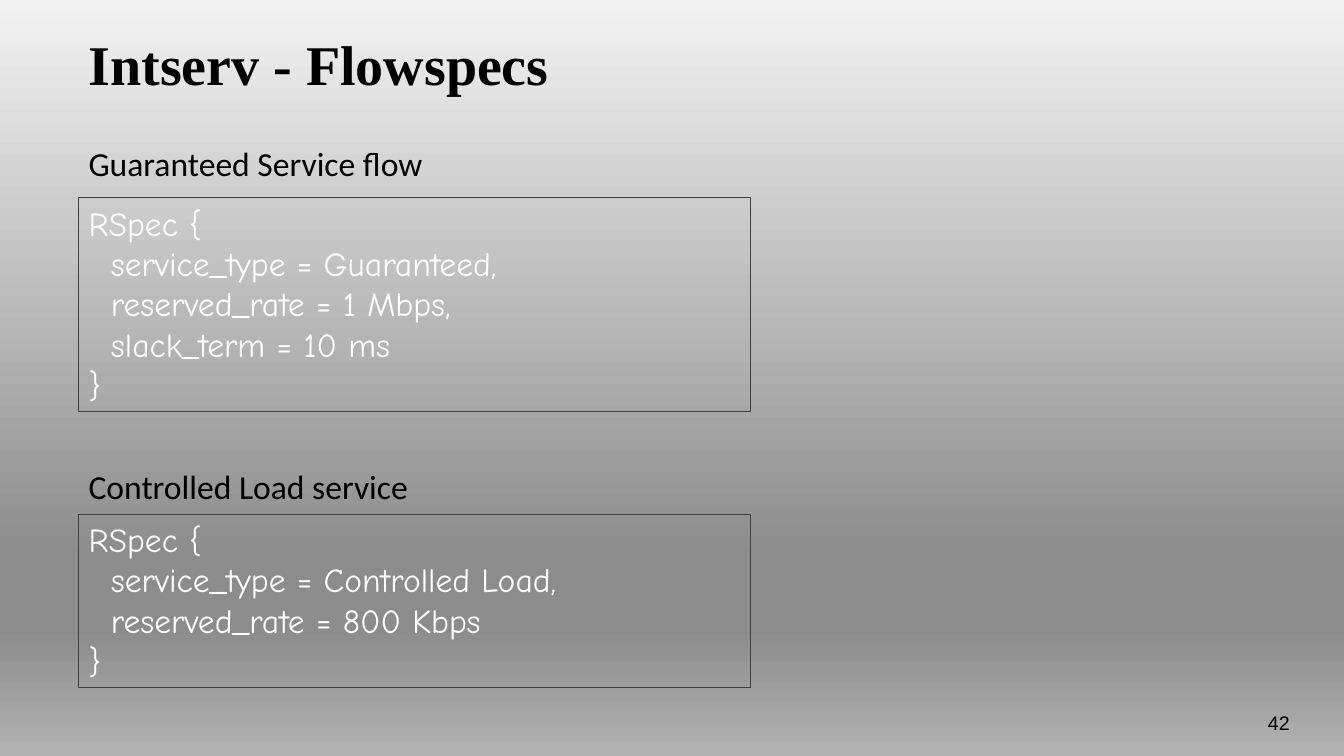
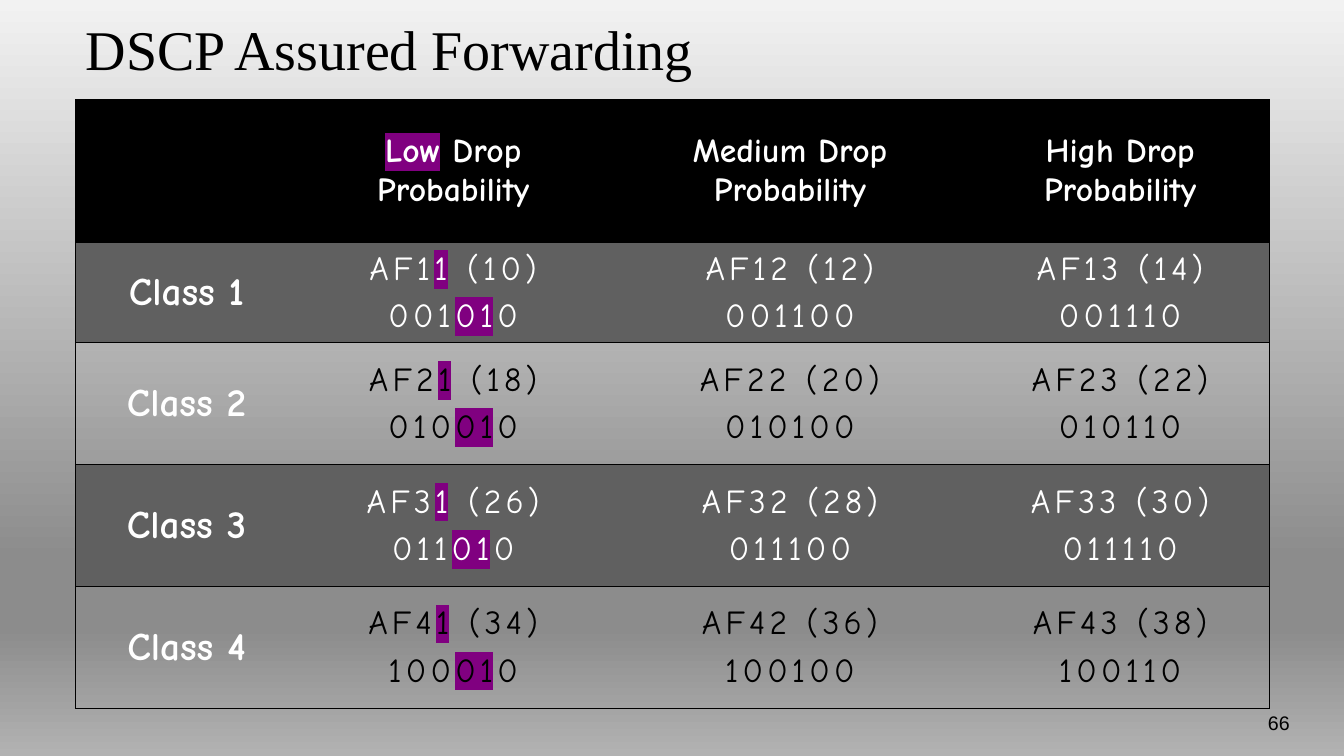
import pptx
import pptx.dml.color
import pptx.enum.shapes
import pptx.enum.text
import pptx.oxml.ns
import pptx.util
from lxml import etree

Inches, Pt, qn = pptx.util.Inches, pptx.util.Pt, pptx.oxml.ns.qn
ALIGN, ANCHOR = pptx.enum.text.PP_ALIGN, pptx.enum.text.MSO_ANCHOR

COLORS = {"black": "000000", "white": "FFFFFF", "frame": "404040",
          "band": "606060", "mark": "800080"}
BACKGROUND = [(0, "F2F2F2"), (74, "8C8C8C"), (83, "8C8C8C"), (100, "B2B2B2")]
CODE_FONT = "Comic Neue"
STYLES = {
    "title": dict(name="Times New Roman", size=Pt(40), bold=False),
    "strong_title": dict(name="Times New Roman", size=Pt(40), bold=True),
    "number": dict(name="Arial", size=Pt(14)),
    "caption": dict(name="Calibri", size=Pt(24)),
    "code": dict(name=CODE_FONT, size=Pt(24)),
    "header": dict(name=CODE_FONT, size=Pt(24), bold=True),
    "class": dict(name=CODE_FONT, size=Pt(28), bold=True),
    "codepoint": dict(name=CODE_FONT, size=Pt(24), bold=False),
}

# caption, caption top, code top, code height, code lines
FLOWSPECS = [
    ("Guaranteed Service flow", 1.37, 1.96, 2.12,
     ["RSpec {", "  service_type = Guaranteed,", "  reserved_rate = 1 Mbps,",
      "  slack_term = 10 ms", "}"]),
    ("Controlled Load service", 4.57, 5.1, 1.72,
     ["RSpec {", "  service_type = Controlled Load,",
      "  reserved_rate = 800 Kbps", "}"]),
]
FLOW_LEFT, FLOW_WIDTH = 0.78, 6.66

DROP_LEVELS = ["Low", "Medium", "High"]
CLASSES = [1, 2, 3, 4]
TABLE_AT = (0.75, 0.99)
COL_WIDTHS = [2.2, 3.09, 3.59, 2.96]
ROW_HEIGHTS = [1.42, 0.99, 1.21, 1.21, 1.21]


def rgb(color):
    return pptx.dml.color.RGBColor.from_string(COLORS[color])


def add_color(parent, hex_value):
    etree.SubElement(parent, qn("a:srgbClr"), val=hex_value)


def write(tf, paragraphs, style, color="black", align=ALIGN.LEFT, gap=0, spacing=0):
    """Fill a text frame; each paragraph is a list of (text, highlighted) runs."""
    for i, runs in enumerate(paragraphs):
        p = tf.add_paragraph() if i else tf.paragraphs[0]
        p.alignment = align
        if i and gap:
            p.space_before = Pt(gap)
        for text, marked in runs:
            r = p.add_run()
            r.text = text
            for key, value in STYLES[style].items():
                setattr(r.font, key, value)
            r.font.color.rgb = rgb(color)
            rPr = r.font._element
            if spacing:
                rPr.set("spc", str(spacing * 100))
            if marked:
                highlight = etree.Element(qn("a:highlight"))
                add_color(highlight, COLORS["mark"])
                rPr.find(qn("a:solidFill")).addnext(highlight)


def plain(*lines):
    return [[(line, False)] for line in lines]


def add_text(slide, box, text, style, align=ALIGN.LEFT):
    tf = slide.shapes.add_textbox(*map(Inches, box)).text_frame
    tf.word_wrap = True
    write(tf, plain(text), style, align=align)


def set_background(master):
    fill = master.background.fill
    fill.gradient()
    fill.gradient_angle = 270
    stops = master.element.find(".//" + qn("p:bgPr")).find(".//" + qn("a:gsLst"))
    for stop in list(stops):
        stops.remove(stop)
    for percent, hex_value in BACKGROUND:
        add_color(etree.SubElement(stops, qn("a:gs"), pos=str(percent * 1000)), hex_value)


def new_slide(prs, title, box, style, number):
    slide = prs.slides.add_slide(prs.slide_layouts[5])
    s = slide.shapes.title
    s.left, s.top, s.width, s.height = map(Inches, box)
    tf = s.text_frame
    tf.auto_size = pptx.enum.text.MSO_AUTO_SIZE.NONE
    tf.vertical_anchor = ANCHOR.MIDDLE
    write(tf, plain(title), style)
    add_text(slide, (11.9, 7, 0.99, 0.5), number, "number", ALIGN.RIGHT)
    return slide


def add_code(slide, box, lines):
    sp = slide.shapes.add_shape(pptx.enum.shapes.MSO_SHAPE.RECTANGLE, *map(Inches, box))
    sp.shadow.inherit = False
    sp.fill.background()
    sp.line.color.rgb = rgb("frame")
    sp.line.width = Pt(0.75)
    sp.text_frame.word_wrap = True
    sp.text_frame.vertical_anchor = ANCHOR.TOP
    write(sp.text_frame, plain(*lines), "code", "white")


def format_cell(cell, fill, sides):
    """Draw the given sides in black, hide the others, then fill the cell."""
    tcPr = cell._tc.get_or_add_tcPr()
    for side in "LRTB":
        ln = etree.SubElement(tcPr, qn("a:ln" + side), w=str(Pt(0.75)))
        if side in sides:
            add_color(etree.SubElement(ln, qn("a:solidFill")), COLORS["black"])
        else:
            etree.SubElement(ln, qn("a:noFill"))
    if fill:
        cell.fill.solid()
        cell.fill.fore_color.rgb = rgb(fill)
    else:
        cell.fill.background()
    cell.vertical_anchor = ANCHOR.MIDDLE


def codepoint_runs(af_class, drop):
    """Name, decimal value and bits of a codepoint, low drop highlighted."""
    value = 8 * af_class + 2 * drop
    bits = f"{value:06b}"
    if drop > 1:
        return plain(f"AF{af_class}{drop} ({value})", bits)
    return [[(f"AF{af_class}", False), (str(drop), True), (f" ({value})", False)],
            [(bits[:3], False), (bits[3:5], True), (bits[5:], False)]]


def add_codepoint_table(slide):
    size = (sum(COL_WIDTHS), sum(ROW_HEIGHTS))
    table = slide.shapes.add_table(len(ROW_HEIGHTS), len(COL_WIDTHS),
                                   *map(Inches, TABLE_AT + size)).table
    table.first_row = table.horz_banding = False
    for col, width in zip(table.columns, COL_WIDTHS):
        col.width = Inches(width)
    for row, height in zip(table.rows, ROW_HEIGHTS):
        row.height = Inches(height)

    last = len(COL_WIDTHS) - 1
    for i in range(len(ROW_HEIGHTS)):
        fill = "black" if i == 0 else "band" if i % 2 else None
        for j in range(len(COL_WIDTHS)):
            sides = "TB" + ("L" if j == 0 else "R" if j == last else "")
            format_cell(table.cell(i, j), fill, sides)

    for j, level in enumerate(DROP_LEVELS, 1):
        write(table.cell(0, j).text_frame,
              [[(level, j == 1), (" Drop Probability", False)]],
              "header", "white", ALIGN.CENTER)
    for i, af_class in enumerate(CLASSES, 1):
        write(table.cell(i, 0).text_frame, plain(f"Class {af_class}"),
              "class", "white", ALIGN.CENTER)
        for j in range(1, len(DROP_LEVELS) + 1):
            write(table.cell(i, j).text_frame, codepoint_runs(af_class, j), "codepoint",
                  "white" if i % 2 else "black", ALIGN.CENTER, gap=6, spacing=3)


def main():
    prs = pptx.Presentation()
    prs.slide_width, prs.slide_height = Inches(13.33), Inches(7.5)
    set_background(prs.slide_master)

    slide = new_slide(prs, "Intserv - Flowspecs", (FLOW_LEFT, 0.25, 11.55, 0.75),
                      "strong_title", "42")
    for caption, caption_top, code_top, code_height, lines in FLOWSPECS:
        add_code(slide, (FLOW_LEFT, code_top, FLOW_WIDTH, code_height), lines)
        add_text(slide, (FLOW_LEFT, caption_top, FLOW_WIDTH, 0.5), caption, "caption")

    slide = new_slide(prs, "DSCP Assured Forwarding", (0.75, 0, 11.84, 0.95),
                      "title", "66")
    add_codepoint_table(slide)
    prs.save("out.pptx")


if __name__ == "__main__":
    main()
